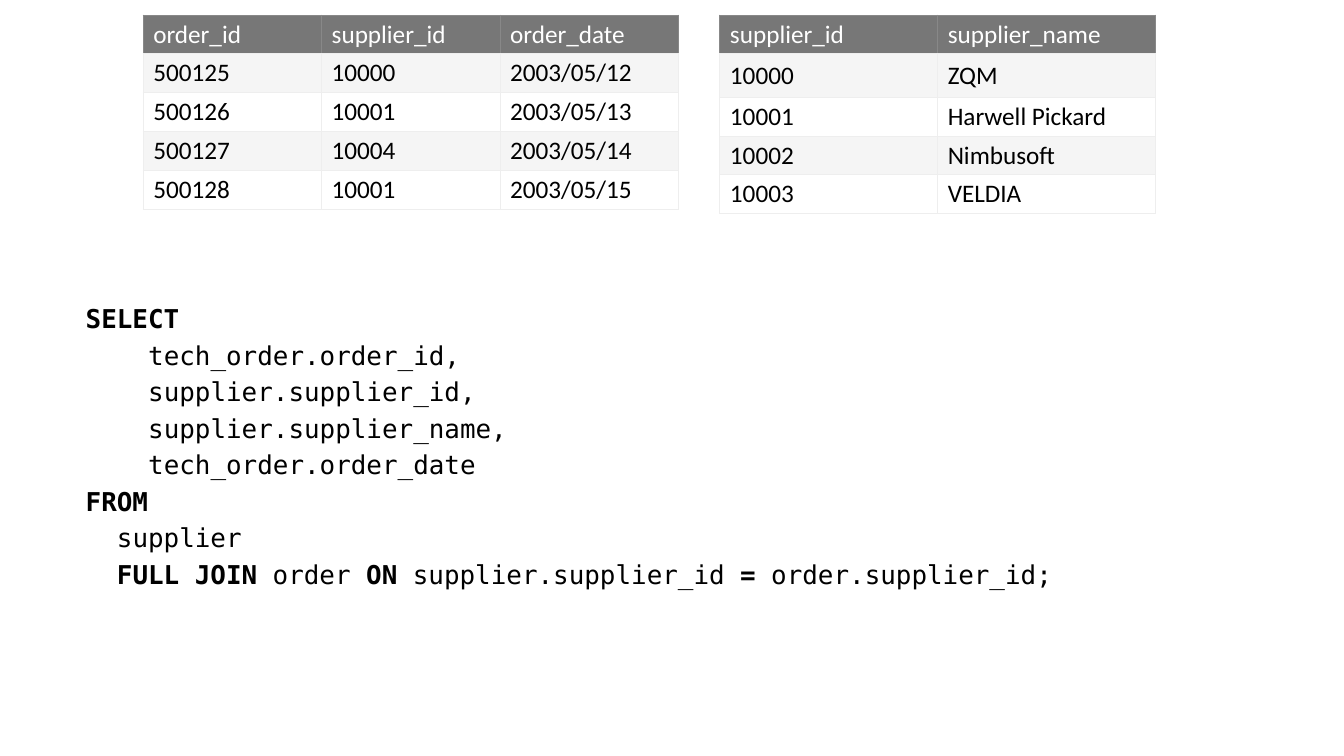
"""Build a slide with two sample tables and the SQL full join that combines them."""
from dataclasses import dataclass

from lxml.etree import SubElement
from pptx import Presentation
from pptx.dml.color import RGBColor as Rgb
from pptx.enum.text import MSO_ANCHOR as Anchor, MSO_AUTO_SIZE as AutoSize, PP_ALIGN as Align
from pptx.oxml import parse_xml
from pptx.oxml.ns import nsdecls, qn
from pptx.util import Inches, Pt


@dataclass(frozen=True)
class Theme:
    ink: str = "000000"
    header_ink: str = "FFFFFF"
    header_fill: str = "777777"
    header_edge: str = "888888"
    cell_edge: str = "EEEEEE"
    bands: tuple = ("FFFFFF", "F5F5F5")
    table_font: str = "Calibri"
    code_font: str = "DejaVu Sans Mono"
    table_size: float = 18
    code_size: float = 18.5
    edge_width: float = 0.75


theme = Theme()


def style_font(font, name, size, color, bold=False):
    for key, value in {"name": name, "size": Pt(size), "bold": bold}.items():
        setattr(font, key, value)
    font.color.rgb = Rgb.from_string(color)


def add_edges(cell, colors):
    properties = cell._tc.get_or_add_tcPr()
    for position, (side, color) in enumerate(zip("LRTB", colors)):
        properties.insert(position, parse_xml(
            f'<a:ln{side} {nsdecls("a")} w="{Pt(theme.edge_width)}"><a:solidFill>'
            f'<a:srgbClr val="{color}"/></a:solidFill></a:ln{side}>'))


deck = Presentation()
deck.slide_width, deck.slide_height = Inches(13.33), Inches(7.5)
slide = deck.slides.add_slide(deck.slide_layouts[1])
title = slide.shapes.title
title.element.getparent().remove(title.element)

query = slide.placeholders[1]
query_box = {"left": 0.75, "top": 3.04, "width": 11.5, "height": 2.96}
for key, value in query_box.items():
    setattr(query, key, Inches(value))
query_format = {"word_wrap": True, "auto_size": AutoSize.NONE, "vertical_anchor": Anchor.TOP}
for key, value in query_format.items():
    setattr(query.text_frame, key, value)

PLAIN, KEYWORD = False, True
query_lines = [
    (0, [("SELECT", KEYWORD)]),
    (4, [("tech_order.order_id,", PLAIN)]),
    (4, [("supplier.supplier_id,", PLAIN)]),
    (4, [("supplier.supplier_name,", PLAIN)]),
    (4, [("tech_order.order_date", PLAIN)]),
    (0, [("FROM", KEYWORD)]),
    (2, [("supplier", PLAIN)]),
    (2, [("FULL JOIN", KEYWORD), (" order ", PLAIN), ("ON ", KEYWORD),
         ("supplier.supplier_id ", PLAIN), ("= ", KEYWORD), ("order.supplier_id;", PLAIN)]),
]
line_format = {"line_spacing": 0.7, "space_before": Pt(10.5), "space_after": Pt(0),
               "alignment": Align.LEFT}
indent_step = Inches(0.155)
for number, (indent, pieces) in enumerate(query_lines):
    line = query.text_frame.paragraphs[0] if number == 0 else query.text_frame.add_paragraph()
    for key, value in line_format.items():
        setattr(line, key, value)
    line_properties = line._p.get_or_add_pPr()
    line_properties.set("marL", str(indent * indent_step))
    line_properties.set("indent", "0")
    SubElement(line_properties, qn("a:buNone"))
    for words, bold in pieces:
        piece = line.add_run()
        piece.text = words
        style_font(piece.font, theme.code_font, theme.code_size, theme.ink, bold)

suppliers = [
    ("supplier_id", "supplier_name"),
    ("10000", "ZQM"),
    ("10001", "Harwell Pickard"),
    ("10002", "Nimbusoft"),
    ("10003", "VELDIA"),
]
orders = [
    ("order_id", "supplier_id", "order_date"),
    ("500125", "10000", "2003/05/12"),
    ("500126", "10001", "2003/05/13"),
    ("500127", "10004", "2003/05/14"),
    ("500128", "10001", "2003/05/15"),
]
row_height = 0.38
tables = [(suppliers, 7.14, 2.16, {1: 0.43}), (orders, 1.42, 1.77, {})]
cell_format = {"vertical_anchor": Anchor.MIDDLE,
               "margin_left": Inches(0.1), "margin_right": Inches(0.1),
               "margin_top": Inches(0.04), "margin_bottom": Inches(0.04)}
for records, left, column_width, tall_rows in tables:
    column_count = len(records[0])
    heights = [tall_rows.get(row, row_height) for row in range(len(records))]
    grid = slide.shapes.add_table(
        len(records), column_count, Inches(left), Inches(0.15),
        Inches(column_width * column_count), Inches(sum(heights))).table
    grid.horz_banding = False
    for column in grid.columns:
        column.width = Inches(column_width)
    for row, (record, height) in enumerate(zip(records, heights)):
        grid.rows[row].height = Inches(height)
        header = row == 0
        fill = theme.header_fill if header else theme.bands[row % 2]
        ink = theme.header_ink if header else theme.ink
        edge = theme.header_edge if header else theme.cell_edge
        for column, value in enumerate(record):
            cell = grid.cell(row, column)
            for key, setting in cell_format.items():
                setattr(cell, key, setting)
            cell.fill.solid()
            cell.fill.fore_color.rgb = Rgb.from_string(fill)
            add_edges(cell, (edge, edge, edge, theme.cell_edge))
            entry = cell.text_frame.paragraphs[0].add_run()
            entry.text = value
            style_font(entry.font, theme.table_font, theme.table_size, ink)

deck.save("out.pptx")
